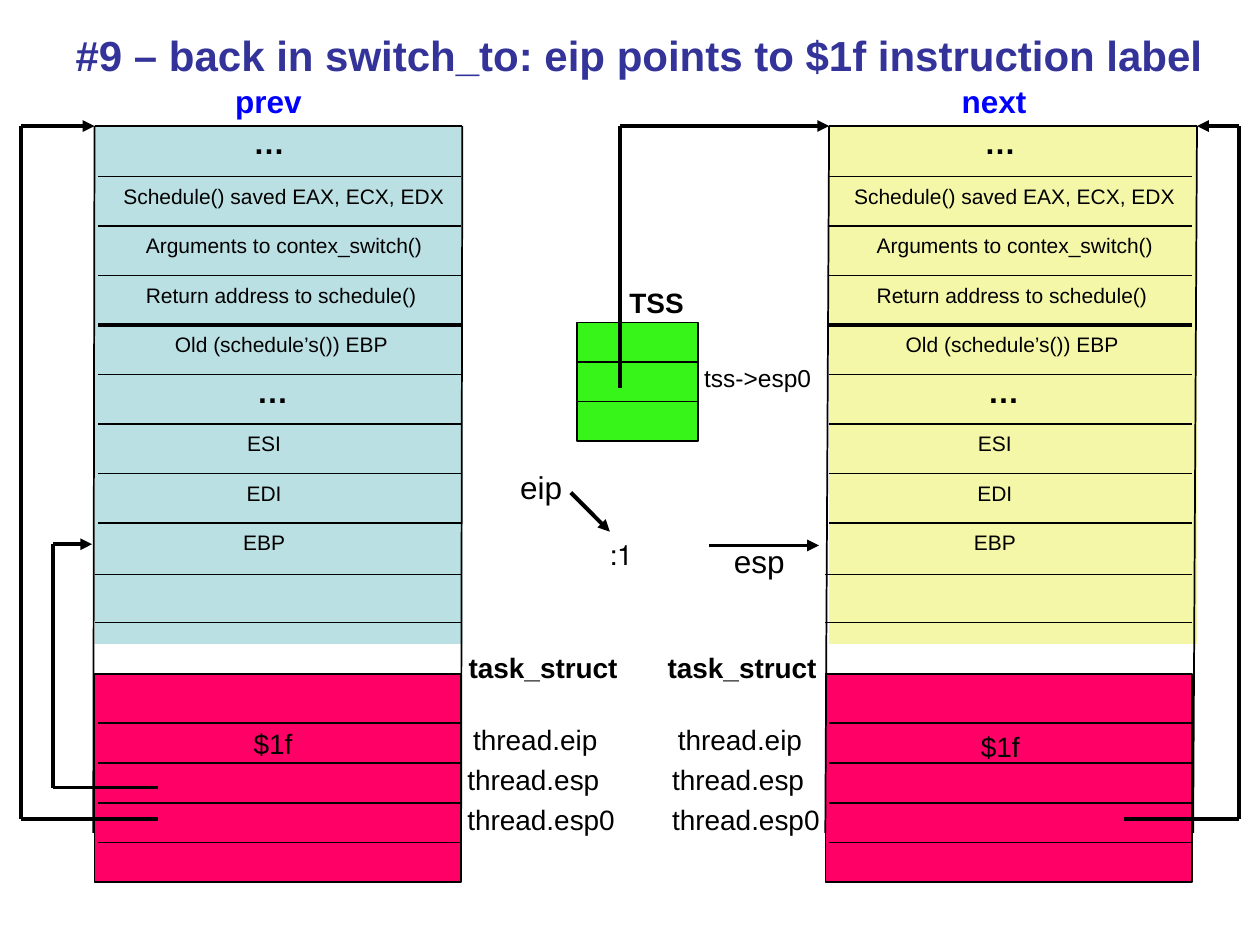
from dataclasses import dataclass
from itertools import pairwise

from lxml.etree import SubElement
from pptx import Presentation
from pptx.dml.color import RGBColor
from pptx.enum.shapes import MSO_CONNECTOR as Connector, MSO_SHAPE as Shape
from pptx.enum.text import MSO_ANCHOR as Anchor, MSO_AUTO_SIZE as AutoSize, PP_ALIGN as Align
from pptx.oxml.ns import qn
from pptx.util import Pt


@dataclass(frozen=True)
class Theme:
    font: str = "Arial"
    ink: str = "000000"
    title: str = "333399"
    heading: str = "0000FF"
    prev: str = "BBE0E3"
    next: str = "F3F7A7"
    task: str = "FF0066"
    tss: str = "38F519"
    title_size: float = 24
    heading_size: float = 18
    label_size: float = 16
    note_size: float = 14
    row_size: float = 12
    hairline: float = 0.75
    rule: float = 1
    thick: float = 2.25


@dataclass(frozen=True)
class Box:
    left: float
    top: float
    width: float
    height: float

    def inner(self, left, top, width, height):
        return Box(self.left + left, self.top + top, width, height)

    def point(self, x, y):
        return self.left + x, self.top + y


THEME = Theme()
ROW_PITCH = 28.3
FIELD_PITCH = 22.7


def place(shape, box):
    shape.left, shape.top = Pt(box.left), Pt(box.top)
    shape.width, shape.height = Pt(box.width), Pt(box.height)


def write(shape, text, size=THEME.row_size, color=THEME.ink, bold=False,
          align=Align.CENTER, rtl=False, fit=AutoSize.SHAPE_TO_FIT_TEXT):
    frame = shape.text_frame
    frame.word_wrap = True
    frame.auto_size = fit
    frame.vertical_anchor = Anchor.TOP
    para = frame.paragraphs[0]
    para.alignment = align
    if rtl:
        para._p.get_or_add_pPr().set("rtl", "1")
    span = para.add_run()
    span.text = text
    span.font.name = THEME.font
    span.font.size = Pt(size)
    span.font.bold = bold
    span.font.color.rgb = RGBColor.from_string(color)


def label(page, box, text, **style):
    shape = page.shapes.add_textbox(Pt(box.left), Pt(box.top), Pt(box.width), Pt(box.height))
    write(shape, text, **style)


def block(page, box, fill, outlined=True):
    shape = page.shapes.add_shape(
        Shape.RECTANGLE, Pt(box.left), Pt(box.top), Pt(box.width), Pt(box.height))
    shape.shadow.inherit = False
    shape.fill.solid()
    shape.fill.fore_color.rgb = RGBColor.from_string(fill)
    if outlined:
        shape.line.color.rgb = RGBColor.from_string(THEME.ink)
        shape.line.width = Pt(THEME.hairline)
    else:
        shape.line.fill.background()


def rule(page, start, end, width=THEME.rule, arrow=False):
    line = page.shapes.add_connector(
        Connector.STRAIGHT, *(Pt(value) for value in (*start, *end)))
    line.line.color.rgb = RGBColor.from_string(THEME.ink)
    line.line.width = Pt(width)
    if arrow:
        SubElement(line.line._get_or_add_ln(), qn("a:tailEnd"), type="triangle")
    SubElement(line._element.spPr, qn("a:effectLst"))


def trace(page, points):
    for start, end in pairwise(points):
        rule(page, start, end, THEME.thick, arrow=end == points[-1])


def title(page, box, text):
    place(page.shapes.title, box)
    write(page.shapes.title, text, size=THEME.title_size, color=THEME.title,
          bold=True, align=Align.LEFT, fit=AutoSize.NONE)


def stack_column(page, box, name, fill, shift, lean, name_left, mark):
    side = 210.2
    block(page, box.inner(shift, 0, side, 296), fill, outlined=False)
    block(page, box.inner(0, 313.2, box.width, 118.8), THEME.task)
    label(page, box.inner(name_left, -28.8, 90.7, 28.8), name,
          size=THEME.heading_size, color=THEME.heading, bold=True)

    row_lines = [28.8 + ROW_PITCH * index for index in range(8)]
    field_lines = [341.3 + FIELD_PITCH * index for index in range(5)]
    for y in row_lines + field_lines:
        width = THEME.thick if y == row_lines[3] else THEME.rule
        rule(page, box.point(2.2, y), box.point(box.width, y), width)
    for y in (256.3, 283.7):
        rule(page, box.point(0, y), box.point(box.width, y), THEME.hairline)
    rule(page, box.point(shift, 0), box.point(shift + side, 0))
    for x in (shift, shift + side):
        rule(page, box.point(x, 0), box.point(x - lean, 404))

    rows = (
        (0, 9.4, 211.7, Align.LEFT, "Schedule() saved EAX, ECX, EDX"),
        (1, -11.5, 239.8, Align.CENTER, "Arguments to contex_switch()"),
        (2, -11.5, 239.8, Align.CENTER, "Return address to schedule() "),
        (3, -11.5, 239.8, Align.CENTER, "Old (schedule’s()) EBP "),
        (5, -23, 239.8, Align.CENTER, "ESI"),
        (6, -23, 239.8, Align.CENTER, "EDI"),
        (7, -23, 239.8, Align.CENTER, "EBP"),
    )
    for index, left, width, align, text in rows:
        label(page, box.inner(left, row_lines[index] + 0.4, width, 21.6), text, align=align)
    for left, top in ((54.5, -5.2), (56.5, 136.8)):
        label(page, box.inner(left, top, 90.7, 28.8), "…",
              size=THEME.heading_size, bold=True)
    label(page, box.inner(*mark, 54, 26.6), "$1f", size=THEME.label_size, align=Align.RIGHT)


def field_names(page, box, heading_left):
    label(page, box.inner(heading_left, 0, 108.7, 26.6), "task_struct",
          size=THEME.label_size, bold=True, align=Align.RIGHT)
    fields = ((3.3, "thread.eip"), (0, "thread.esp"), (0, "thread.esp0"))
    for index, (left, text) in enumerate(fields):
        label(page, box.inner(left, 41.6 + FIELD_PITCH * index, box.width, 26.6), text,
              size=THEME.label_size, align=Align.LEFT)


def tss_block(page, box):
    block(page, box, THEME.tss)
    for part in (1, 2):
        y = box.height * part / 3
        rule(page, box.point(0, y), box.point(box.width, y))
    label(page, box.inner(6.5, -24.5, 77.8, 26.6), "TSS", size=THEME.label_size, bold=True)
    label(page, box.inner(65.5, 19.4, 84.2, 24.5), "tss->esp0",
          size=THEME.note_size, align=Align.LEFT)
    trace(page, [box.point(24.4, 37.4), box.point(24.4, -112.3), box.point(144, -112.3)])


def registers(page, box):
    label(page, box.inner(0, 0, 56.9, 28.8), "eip", size=THEME.heading_size)
    label(page, box.inner(33.8, 39.6, 54, 26.6), "1:",
          size=THEME.label_size, align=Align.RIGHT, rtl=True)
    trace(page, [box.point(45.4, 17.3), box.point(67.7, 39.6)])
    label(page, box.inner(124.6, 41.8, 56.9, 28.8), "esp", size=THEME.heading_size)
    trace(page, [box.point(124.6, 47.5), box.point(187.2, 47.5)])


def pointer_loop(page, box, tip):
    trace(page, [box.point(box.width, box.height), box.point(0, box.height),
                 box.point(0, 0), box.point(tip, 0)])


def main():
    deck = Presentation()
    deck.slide_width, deck.slide_height = Pt(720), Pt(540)
    page = deck.slides.add_slide(deck.slide_layouts[5])

    title(page, Box(36, 13, 663, 36),
          "#9 – back in switch_to: eip points to $1f instruction label")
    stack_column(page, Box(54, 72, 209.5, 432), "prev", THEME.prev,
                 shift=0, lean=0.7, name_left=54, mark=(66.2, 339.8))
    stack_column(page, Box(471.6, 72, 209.5, 432), "next", THEME.next,
                 shift=2.2, lean=2.2, name_left=51.1, mark=(64.1, 341.3))
    field_names(page, Box(260, 368, 102, 114), heading_left=-8.7)
    field_names(page, Box(377, 368, 102, 114), heading_left=-12)
    tss_block(page, Box(329.8, 184.3, 69.1, 67.7))
    registers(page, Box(280.8, 264.2, 187.2, 70))
    pointer_loop(page, Box(12.2, 72, 77.8, 396), tip=41.8)
    pointer_loop(page, Box(30.2, 311, 59.8, 139), tip=22.4)
    pointer_loop(page, Box(707.8, 72, -65.6, 396), tip=-23.8)

    deck.save("out.pptx")


if __name__ == "__main__":
    main()
